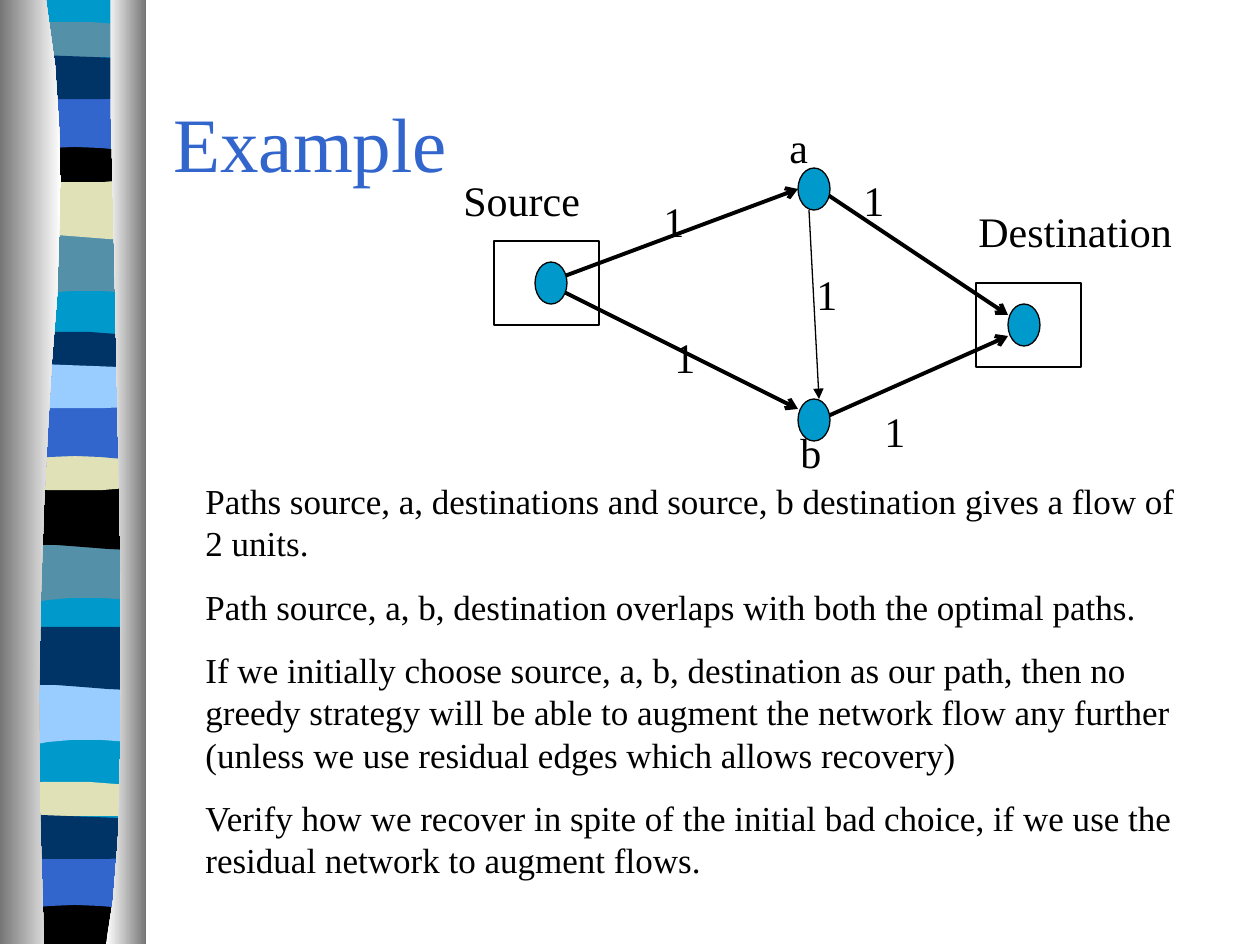
from lxml.etree import SubElement
from pptx import Presentation
from pptx.dml.color import RGBColor
from pptx.enum.shapes import MSO_CONNECTOR, MSO_SHAPE
from pptx.enum.text import MSO_ANCHOR
from pptx.oxml.ns import qn
from pptx.util import Pt

PX = 914400 / 126
THEME = {
    "font": "Times New Roman", "title": 44, "label": 24, "body": 20,
    "thin": 0.75, "thick": 2.25,
    "ink": "000000", "blue": "3366CC", "cyan": "0099CC", "teal": "5490A8",
    "sand": "E1E1B7", "navy": "003366", "sky": "99CCFF",
    "light": "FFFFFF", "dark": "767676",
}


def curve(start, control_1, control_2, end, steps):
    points = []
    for step in range(steps + 1):
        t = step / steps
        weights = ((1 - t) ** 3, 3 * t * (1 - t) ** 2, 3 * t * t * (1 - t), t ** 3)
        corners = (start, control_1, control_2, end)
        points.append(tuple(round(sum(w * c[axis] for w, c in zip(weights, corners)))
                            for axis in (0, 1)))
    return points


def write(left, top, width, height, paragraphs, size, color="ink"):
    box = slide.shapes.add_textbox(*(round(v * PX) for v in (left, top, width, height)))
    frame = box.text_frame
    frame.word_wrap = True
    frame.text = "\n".join(paragraphs)
    for index, paragraph in enumerate(frame.paragraphs):
        if index:
            paragraph.space_before = Pt(12.5)
        font = paragraph.runs[0].font
        font.name = THEME["font"]
        font.size = Pt(THEME[size])
        font.color.rgb = RGBColor.from_string(THEME[color])
    return frame


deck = Presentation()
deck.slide_width, deck.slide_height = round(1260 * PX), round(945 * PX)
slide = deck.slides.add_slide(deck.slide_layouts[6])

flat = ((0.3, 0), (0.7, 0))
wave_edges = {
    "flat": (flat, flat),
    "swell": (flat, ((0.17, 9), (0.31, -11))),
    "ripple": (flat, ((0.31, -8), (0.83, 9))),
    "crest": (((0.2, -7), (0.6, -5)), flat),
    "bowl": (flat, ((0.17, 6), (0.83, 6))),
    "arch": (flat, ((0.25, -9), (0.75, -9))),
    "sag": (((0.14, -6), (0.68, 0)), ((0.1, 3), (0.9, 3))),
}
bands = [
    ("flat", 0, 944, "cyan"),
    ("swell", 234, 294, "teal"), ("ripple", 176, 237, "sand"),
    ("crest", 26, 57, "teal"), ("bowl", 136, 178, "ink"),
    ("arch", 93, 154, "blue"), ("sag", 58, 97, "navy"),
    ("swell", 542, 601, "teal"), ("ripple", 488, 547, "ink"),
    ("crest", 336, 367, "navy"), ("bowl", 445, 486, "sand"),
    ("arch", 404, 463, "blue"), ("sag", 367, 406, "sky"),
    ("swell", 684, 743, "sky"), ("ripple", 627, 687, "navy"),
    ("crest", 786, 816, "sand"), ("flat", 897, 944, "ink"),
    ("arch", 853, 912, "blue"), ("sag", 818, 857, "navy"),
]
ribbon_left, ribbon_width = 7, 136
outlines = []
for wave, top, bottom, color in bands:
    edges = []
    for y, bends in zip((top, bottom), wave_edges[wave]):
        controls = [(ribbon_left + x * ribbon_width, y + rise) for x, rise in bends]
        edges.append(curve((ribbon_left, y), *controls, (ribbon_left + ribbon_width, y),
                           1 if bends == flat else 6))
    outlines.append((edges[0] + edges[1][::-1], (color,)))
outlines += [
    (curve((46, 0), (89, 273), (21, 373), (44, 944), 12) + [(0, 944), (0, 0)],
     ("dark", "light")),
    (curve((111, 0), (106, 158), (140, 814), (106, 944), 12) + [(146, 944), (146, 0)],
     ("light", "dark")),
]
for points, colors in outlines:
    builder = slide.shapes.build_freeform(*points[0], scale=PX)
    builder.add_line_segments(points[1:], close=True)
    strip = builder.convert_to_shape()
    strip.shadow.inherit = False
    strip.line.fill.background()
    if len(colors) == 1:
        strip.fill.solid()
        strip.fill.fore_color.rgb = RGBColor.from_string(THEME[colors[0]])
    else:
        strip.fill.gradient()
        strip.fill.gradient_angle = 0
        for stop, color in zip(strip.fill.gradient_stops, colors):
            stop.color.rgb = RGBColor.from_string(THEME[color])

title = write(161, 63, 1071, 158, ["Example"], "title", "blue")
title.vertical_anchor = MSO_ANCHOR.MIDDLE

frames = [(MSO_SHAPE.RECTANGLE, x, y, 105, 84, None) for x, y in ((494, 241), (976, 283))]
nodes = [(MSO_SHAPE.OVAL, x, y, 32, 42, "cyan")
         for x, y in ((535, 262), (798, 168), (1008, 304), (798, 399))]
links = [
    (546, 283, 798, 189, "thick", "arrow"),
    (546, 283, 798, 409, "thick", "arrow"),
    (819, 189, 1008, 315, "thick", "arrow"),
    (819, 420, 1008, 336, "thick", "arrow"),
    (809, 210, 819, 399, "thin", "triangle"),
]
for *ends, weight, head in links:
    link = slide.shapes.add_connector(MSO_CONNECTOR.STRAIGHT, *(round(v * PX) for v in ends))
    link.line.color.rgb = RGBColor.from_string(THEME["ink"])
    link.line.width = Pt(THEME[weight])
    properties = link._element.spPr
    SubElement(properties.find(qn("a:ln")), qn("a:tailEnd"), type=head)
    SubElement(properties, qn("a:effectLst"))

for preset, *place, color in frames + nodes:
    mark = slide.shapes.add_shape(preset, *(round(v * PX) for v in place))
    mark.shadow.inherit = False
    mark.line.color.rgb = RGBColor.from_string(THEME["ink"])
    mark.line.width = Pt(THEME["thin"])
    if color:
        mark.fill.solid()
        mark.fill.fore_color.rgb = RGBColor.from_string(THEME[color])
    else:
        mark.fill.background()

labels = [("Source", 451, 168, 262), ("Destination", 966, 199, 262),
          ("a", 777, 115, 63), ("b", 788, 420, 63)]
labels += [("1", x, y, 199) for x, y in
           ((651, 189), (851, 168), (662, 325), (872, 399), (804, 262))]
for label, left, top, width in labels:
    write(left, top, width, 63, [label], "label")

write(193, 473, 1008, 415, [
    "Paths source, a, destinations and source, b destination gives a flow of 2 units.",
    "Path source, a, b, destination overlaps with both the optimal paths.",
    "If we initially choose source, a, b, destination as our path, then no greedy strategy "
    "will be able to augment the network flow any further "
    "(unless we use residual edges which allows recovery)",
    "Verify how we recover in spite of the initial bad choice, if we use the residual "
    "network to augment flows.",
], "body")

deck.save("out.pptx")
